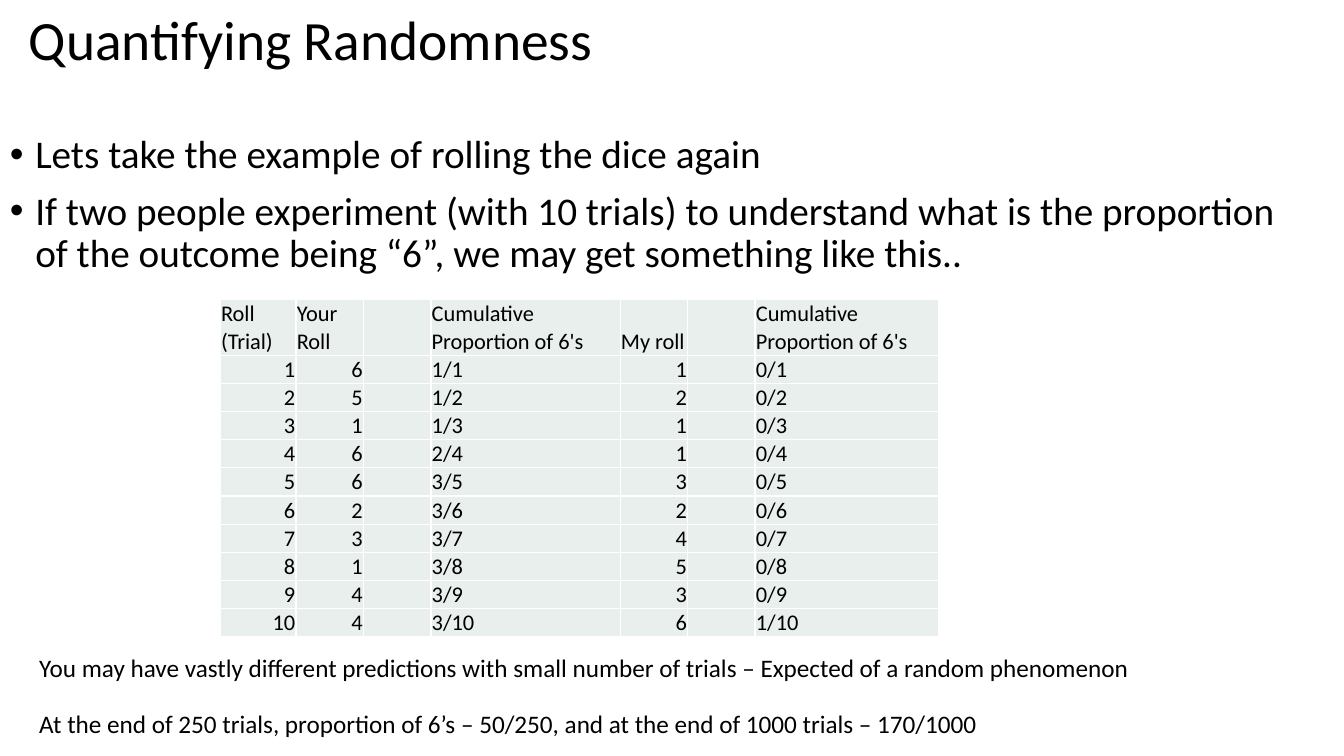
from dataclasses import dataclass

from pptx import Presentation
from pptx.dml.color import RGBColor
from pptx.enum.text import MSO_ANCHOR as Anchor, PP_ALIGN as Align
from pptx.oxml import parse_xml
from pptx.oxml.ns import nsdecls
from pptx.util import Cm, Pt


@dataclass(frozen=True)
class Theme:
    font: str = "Calibri"
    text: str = "000000"
    cell: str = "E8EFEC"
    border: str = "FFFFFF"
    title_size: float = 39.6
    body_size: float = 28
    note_size: float = 18
    table_size: float = 16


theme = Theme()


def add_text(paragraph, text, size):
    run = paragraph.add_run()
    run.text = text
    run.font.name = theme.font
    run.font.size = Pt(size)
    run.font.color.rgb = RGBColor.from_string(theme.text)


def add_frame(left, top, width, height):
    """Add a wrapping text box, measured in centimetres, and return its text frame."""
    box = slide.shapes.add_textbox(Cm(left), Cm(top), Cm(width), Cm(height))
    box.text_frame.word_wrap = True
    return box.text_frame


presentation = Presentation()
presentation.slide_width = Cm(33.87)
presentation.slide_height = Cm(19.05)
slide = presentation.slides.add_slide(presentation.slide_layouts[6])

# Title
title = add_frame(0.48, 0.3, 29.21, 1.52)
title.vertical_anchor = Anchor.MIDDLE
title.paragraphs[0].line_spacing = 0.9
add_text(title.paragraphs[0], "Quantifying Randomness", theme.title_size)

# Bulleted introduction
bullets = [
    "Lets take the example of rolling the dice again",
    "If two people experiment (with 10 trials) to understand what is the proportion "
    "of the outcome being “6”, we may get something like this..",
]
body = add_frame(0, 3.28, 33.15, 5.46)
for index, bullet in enumerate(bullets):
    paragraph = body.add_paragraph() if index else body.paragraphs[0]
    paragraph.line_spacing = 0.9
    paragraph.space_before = Pt(10)
    properties = paragraph._p.get_or_add_pPr()
    properties.set("marL", str(Cm(0.64)))
    properties.set("indent", str(-Cm(0.64)))
    properties.append(parse_xml(f'<a:buFont {nsdecls("a")} typeface="Arial"/>'))
    properties.append(parse_xml(f'<a:buChar {nsdecls("a")} char="•"/>'))
    add_text(paragraph, bullet, theme.body_size)

# Table of rolls, with the running share of sixes worked out from them
your_rolls = [6, 5, 1, 6, 6, 2, 3, 1, 4, 4]
my_rolls = [1, 2, 1, 1, 3, 2, 4, 5, 3, 6]
share_heading = "Cumulative Proportion of 6's"
rows = [["Roll (Trial)", "Your Roll", "", share_heading, "My roll", "", share_heading]]
for trial, (yours, mine) in enumerate(zip(your_rolls, my_rolls), start=1):
    your_share, my_share = (
        f"{rolls[:trial].count(6)}/{trial}" for rolls in (your_rolls, my_rolls)
    )
    rows.append([str(trial), str(yours), "", your_share, str(mine), "", my_share])

column_widths = [1.91, 1.7, 1.7, 4.77, 1.7, 1.7, 4.62]
row_heights = [1.4] + [0.71] * len(your_rolls)
table = slide.shapes.add_table(
    len(rows), len(column_widths), Cm(5.55), Cm(7.55),
    Cm(sum(column_widths)), Cm(sum(row_heights)),
).table
for column, width in zip(table.columns, column_widths):
    column.width = Cm(width)
for row, height in zip(table.rows, row_heights):
    row.height = Cm(height)

for row_index, texts in enumerate(rows):
    for column_index, text in enumerate(texts):
        cell = table.cell(row_index, column_index)
        cell.fill.solid()
        cell.fill.fore_color.rgb = RGBColor.from_string(theme.cell)
        cell.vertical_anchor = Anchor.BOTTOM
        cell.margin_left = cell.margin_right = cell.margin_top = Cm(0.02)
        cell.margin_bottom = 0
        for position, side in enumerate(("lnL", "lnR", "lnT", "lnB")):
            border = parse_xml(
                f'<a:{side} {nsdecls("a")} w="{Pt(1)}"><a:solidFill>'
                f'<a:srgbClr val="{theme.border}"/></a:solidFill></a:{side}>'
            )
            cell._tc.get_or_add_tcPr().insert(position, border)
        paragraph = cell.text_frame.paragraphs[0]
        if text:
            paragraph.alignment = Align.RIGHT if text.isdigit() else Align.LEFT
            add_text(paragraph, text, theme.table_size)
        else:
            # An empty cell needs its own type size, or it stretches the row
            paragraph._p.append(
                parse_xml(f'<a:endParaRPr {nsdecls("a")} sz="{theme.table_size * 100}"/>')
            )

# Conclusions
conclusions = [
    "You may have vastly different predictions with small number of trials – "
    "Expected of a random phenomenon",
    "At the end of 250 trials, proportion of 6’s – 50/250, "
    "and at the end of 1000 trials – 170/1000",
]
for index, conclusion in enumerate(conclusions):
    note = add_frame(0.74, 16.31 + 1.42 * index, 28.35, 1.02)
    add_text(note.paragraphs[0], conclusion, theme.note_size)

presentation.save("out.pptx")
